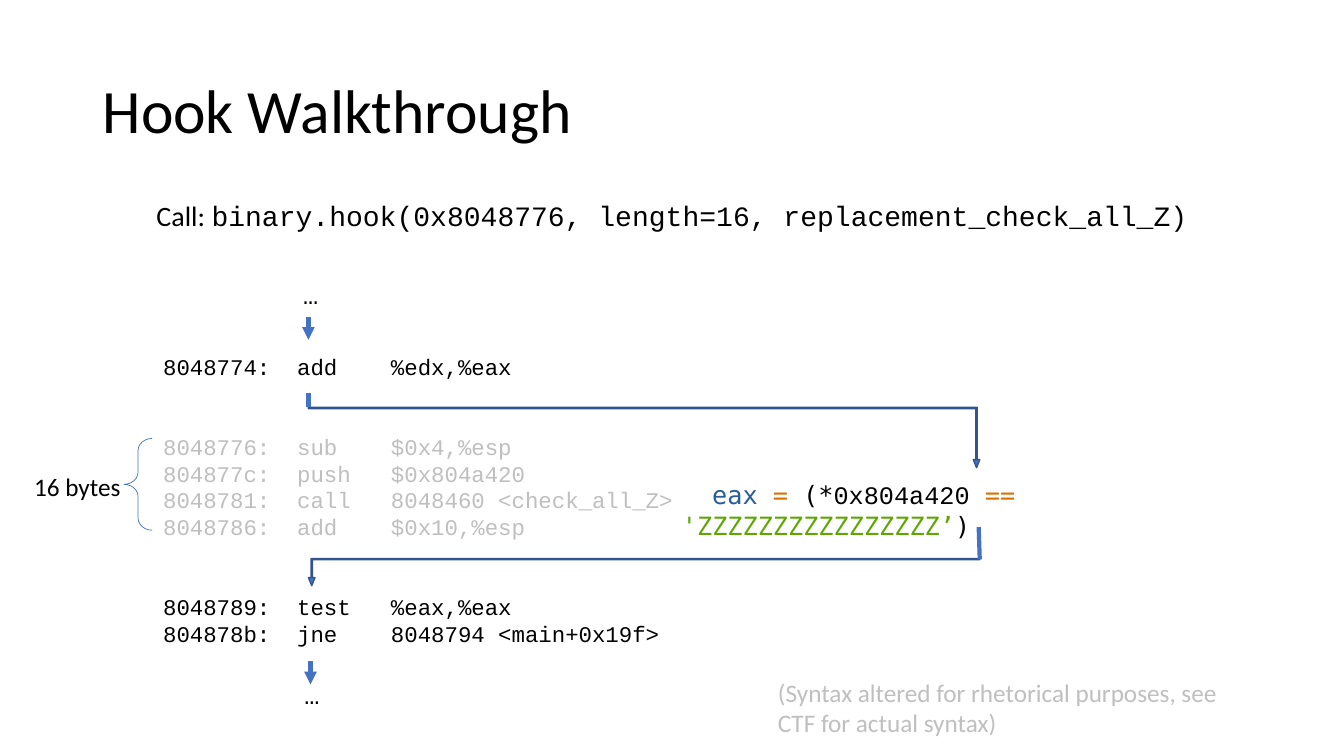
"""Build the Hook Walkthrough slide: a call, its disassembly and the replaced bytes."""
from dataclasses import dataclass

from lxml.etree import SubElement
from pptx import Presentation
from pptx.dml.color import RGBColor as RGB
from pptx.enum.shapes import MSO_CONNECTOR as LINE, MSO_SHAPE as SHAPE
from pptx.enum.text import MSO_ANCHOR as ANCHOR, PP_ALIGN as ALIGN
from pptx.oxml.ns import qn
from pptx.util import Inches, Pt


@dataclass(frozen=True)
class Theme:
    sans: str = "Calibri"
    mono: str = "Courier New"
    code: str = "DejaVu Sans Mono"
    title: int = 44
    call: int = 20
    body: int = 18
    listing: int = 16
    group_gap: int = 38
    ink: str = "000000"
    muted: str = "BFBFBF"
    flow: str = "4472C4"
    edge: str = "325491"
    name: str = "295E99"
    operator: str = "D97100"
    string: str = "5EA702"


T = Theme()
prs = Presentation()
prs.slide_width, prs.slide_height = Inches(13.33), Inches(7.5)
COL, ROW = prs.slide_width / 100, prs.slide_height / 100
s = prs.slides.add_slide(prs.slide_layouts[6])


def grid(x, y, *rest):
    """Turn columns and rows into slide lengths."""
    return [round(v * unit) for v, unit in zip((x, y, *rest), (COL, ROW) * 2)]


def add_text(box, paragraphs, size, wrap=True):
    """Add a text box whose paragraphs are lists of (text, font, colour) runs."""
    tf = s.shapes.add_textbox(*grid(*box)).text_frame
    tf.word_wrap = wrap
    for i, runs in enumerate(paragraphs):
        p = tf.add_paragraph() if i else tf.paragraphs[0]
        for text, font, colour in runs:
            r = p.add_run()
            r.text = text
            r.font.name, r.font.size = font, Pt(size)
            r.font.color.rgb = RGB.from_string(colour)
    return tf


tf = add_text((6.9, 5.33, 86.25, 19.33), [[("Hook Walkthrough", T.sans, T.ink)]], T.title)
tf.vertical_anchor = ANCHOR.MIDDLE
tf.paragraphs[0].line_spacing = 0.9

tf = add_text((6.9, 25.6, 86.25, 5.87), [[
    ("Call: ", T.sans, T.ink),
    ("binary.hook(0x8048776, length=16, replacement_check_all_Z)", T.mono, T.ink),
]], T.call)
tf.paragraphs[0].alignment = ALIGN.CENTER

before = ["8048774:  add    %edx,%eax"]
hooked = [
    "8048776:  sub    $0x4,%esp",
    "804877c:  push   $0x804a420",
    "8048781:  call   8048460 <check_all_Z>",
    "8048786:  add    $0x10,%esp",
]
after = ["8048789:  test   %eax,%eax", "804878b:  jne    8048794 <main+0x19f>"]
listing = [[(line, T.mono, colour)]
           for group, colour in ((before, T.ink), (hooked, T.muted), (after, T.ink))
           for line in group]
tf = add_text((11.4, 46, 40.2, 44.4), listing, T.listing)
for first in (len(before), len(before + hooked)):
    tf.paragraphs[first].space_before = Pt(T.group_gap)

tf = add_text((50, 62.8, 48.15, 5.33), [[
    ("eax ", T.code, T.name),
    ("= ", T.code, T.operator),
    ("(*", T.code, T.ink),
    ("0x804a420 ", T.mono, T.ink),
    ("== ", T.code, T.operator),
    ("'ZZZZZZZZZZZZZZZZ’", T.code, T.string),
    (")", T.code, T.ink),
]], T.body)
tf.paragraphs[0]._p.get_or_add_pPr().set("indent", str(Inches(0.3)))

for box, label, font in (
    ((1.8, 61.73, 8.02, 5.33), "16 bytes", T.sans),
    ((21.82, 36.27, 2.55, 5.33), "…", T.mono),
    ((21.9, 89.2, 2.55, 5.33), "…", T.mono),
):
    add_text(box, [[(label, font, T.ink)]], T.body, wrap=False)

add_text((57.15, 88.93, 37.05, 9.47), [[
    ("(Syntax altered for rhetorical purposes, see CTF for actual syntax)", T.sans, T.muted),
]], T.body)

brace = s.shapes.add_shape(SHAPE.LEFT_BRACE, *grid(9.22, 58, 2.1, 12.13))
brace.shadow.inherit = False
brace.adjustments[0] = 0.43
brace.fill.background()
brace.line.color.rgb = RGB.from_string(T.flow)
brace.line.width = Pt(0.5)

for box, adjustments, mirrored in (
    ((22.95, 53.87, 49.95, 8), (0.021, 0.053, 0.135), True),
    ((22.95, 73.87, 49.95, 3.6), (0.043, 0.119, 0.295), False),
):
    sp = s.shapes.add_shape(SHAPE.BENT_UP_ARROW, *grid(*box))
    sp.shadow.inherit = False
    sp.rotation = 180
    if mirrored:
        sp._element.spPr.find(qn("a:xfrm")).set("flipH", "1")
    for i, value in enumerate(adjustments):
        sp.adjustments[i] = value
    sp.fill.solid()
    sp.fill.fore_color.rgb = RGB.from_string(T.flow)
    sp.line.color.rgb = RGB.from_string(T.edge)
    sp.line.width = Pt(1)

for start, end, arrow in (
    ((22.95, 41.87), (22.95, 44.93), True),
    ((22.95, 53.87), (22.95, 52), False),
    ((72.9, 74), (72.82, 69.73), False),
    ((23.1, 87.47), (23.1, 90.53), True),
):
    line = s.shapes.add_connector(LINE.STRAIGHT, *grid(*start), *grid(*end))
    line.line.color.rgb = RGB.from_string(T.flow)
    line.line.width = Pt(3)
    if arrow:
        SubElement(line.line._get_or_add_ln(), qn("a:tailEnd"), type="triangle")
    SubElement(line._element.spPr, qn("a:effectLst"))

prs.save("out.pptx")
